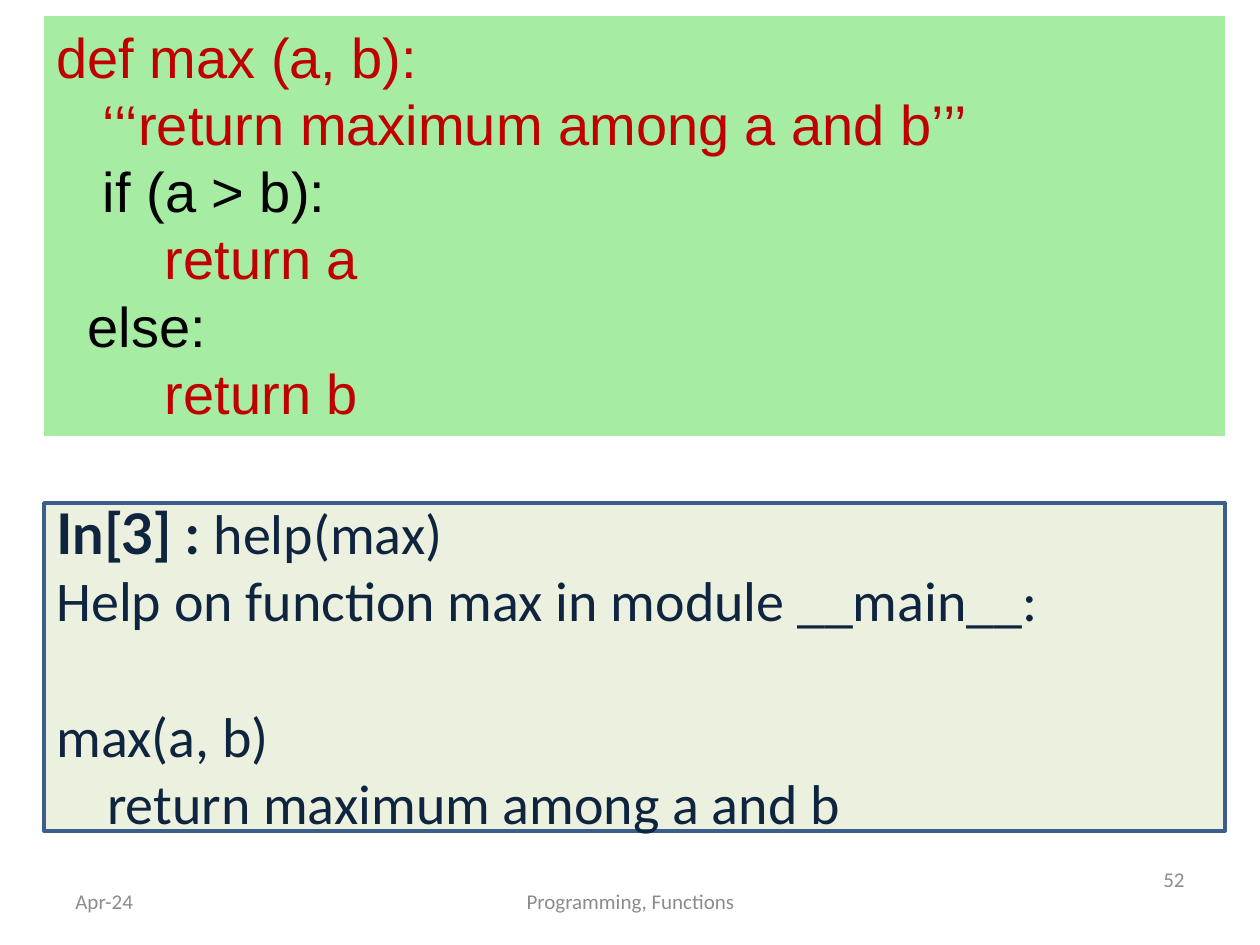
from pptx import Presentation
from pptx import util as u
from pptx.dml.color import RGBColor
from pptx.enum import shapes, text

PX = 914400 / 126
COLORS = {
    "footer": "8C8C8C", "code_fill": "A6EDA3", "red": "C00000", "black": "000000",
    "shell_fill": "EBF1DE", "shell_line": "3A5F8C", "navy": "0F243E",
}
LEFT, WIDTH = 44, 1181
CODE_SIZE = 32
BLANK_LINE = 39  # points, one line of the shell output


def px(value):
    return u.Emu(round(value * PX))


def color(name):
    return RGBColor.from_string(COLORS[name])


def add_span(para, words, ink, **formats):
    span = para.add_run()
    span.text = words
    span.font.color.rgb = color(ink)
    for name, value in formats.items():
        setattr(span.font, name, value)


def set_frame(box, anchor):
    frame = box.text_frame
    for name, value in {"word_wrap": True, "vertical_anchor": anchor}.items():
        setattr(frame, name, value)
    return frame


def add_footer(page, words, left, top, width, align):
    box = page.shapes.add_textbox(px(left), px(top), px(width), px(50))
    para = set_frame(box, text.MSO_ANCHOR.MIDDLE).paragraphs[0]
    para.alignment = align
    add_span(para, words, "footer", name="Calibri", size=u.Pt(12))


def add_panel(page, top, height, fill, anchor, lines, line=None):
    """Draw a filled panel; each line is a list of (words, ink, formats)."""
    box = page.shapes.add_shape(
        shapes.MSO_SHAPE.RECTANGLE, px(LEFT), px(top), px(WIDTH), px(height))
    box.shadow.inherit = False
    box.fill.solid()
    box.fill.fore_color.rgb = color(fill)
    if line:
        box.line.color.rgb = color(line)
        box.line.width = u.Pt(2)
    else:
        box.line.fill.background()
    frame = set_frame(box, anchor)
    for index, spans in enumerate(lines):
        para = frame.add_paragraph() if index else frame.paragraphs[0]
        para.alignment = text.PP_ALIGN.LEFT
        for words, ink, formats in spans:
            add_span(para, words, ink, size=u.Pt(CODE_SIZE), **formats)
    return frame


def main():
    deck = Presentation()
    deck.slide_width, deck.slide_height = px(1260), px(945)
    page = deck.slides.add_slide(deck.slide_layouts[6])

    # Date, footer and page number
    add_footer(page, "Apr-24", 63, 876, 294, text.PP_ALIGN.LEFT)
    add_footer(page, "Programming, Functions", 431, 876, 399, text.PP_ALIGN.CENTER)
    add_footer(page, "52", 903, 854, 294, text.PP_ALIGN.RIGHT)

    # Function definition
    code = [
        ("def max (a, b):", "red"),
        ("   ‘‘‘return maximum among a and b’’’", "red"),
        ("   if (a > b):", "black"),
        ("       return a", "red"),
        ("  else:", "black"),
        ("       return b", "red"),
    ]
    add_panel(page, 16, 420, "code_fill", text.MSO_ANCHOR.TOP,
              [[(words, ink, {"name": "Arial"})] for words, ink in code])

    # Help output in the shell
    plain = {"name": "Calibri"}
    output = ["Help on function max in module __main__:", "max(a, b)",
              "    return maximum among a and b"]
    prompt = [("In[3] : ", "navy", {"name": "Lato", "bold": True}),
              ("help(max)", "navy", plain)]
    frame = add_panel(page, 503, 328, "shell_fill", text.MSO_ANCHOR.MIDDLE,
                      [prompt] + [[(words, "navy", plain)] for words in output],
                      line="shell_line")
    frame.paragraphs[2].space_before = u.Pt(BLANK_LINE)

    deck.save("out.pptx")


if __name__ == "__main__":
    main()
